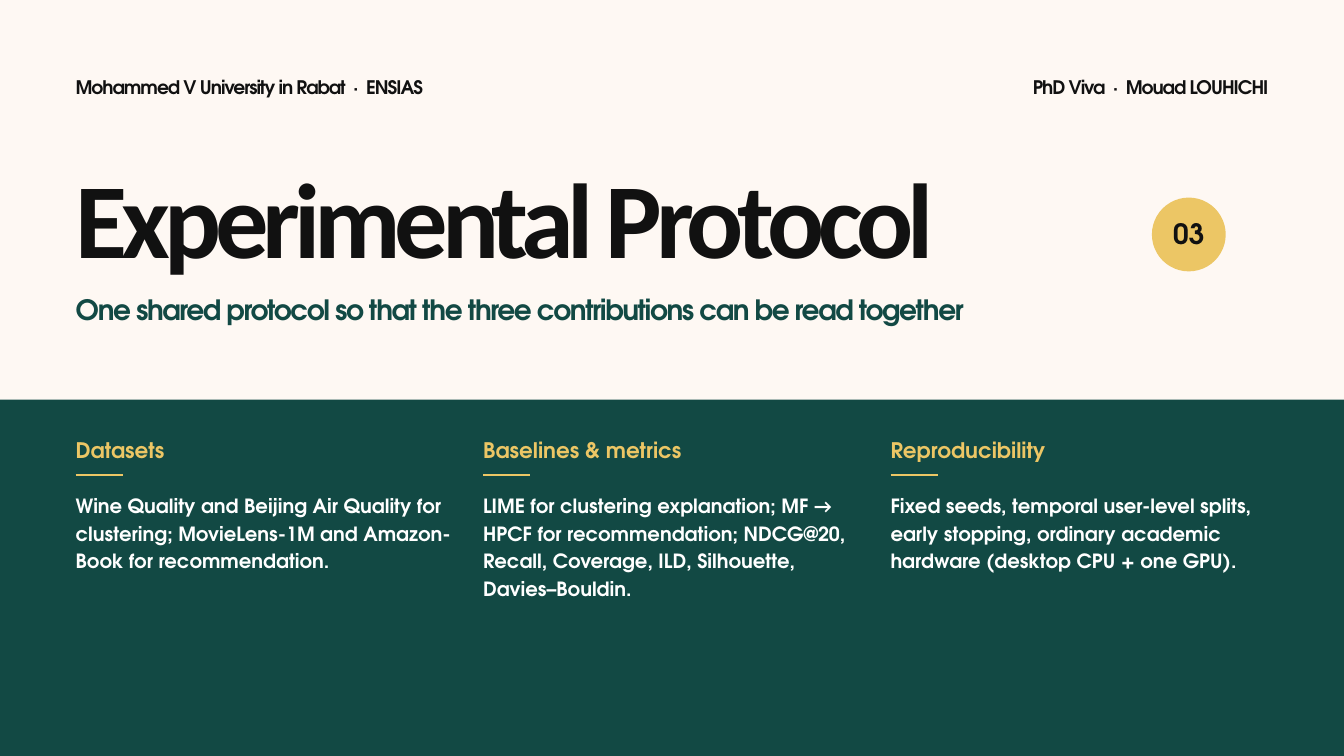
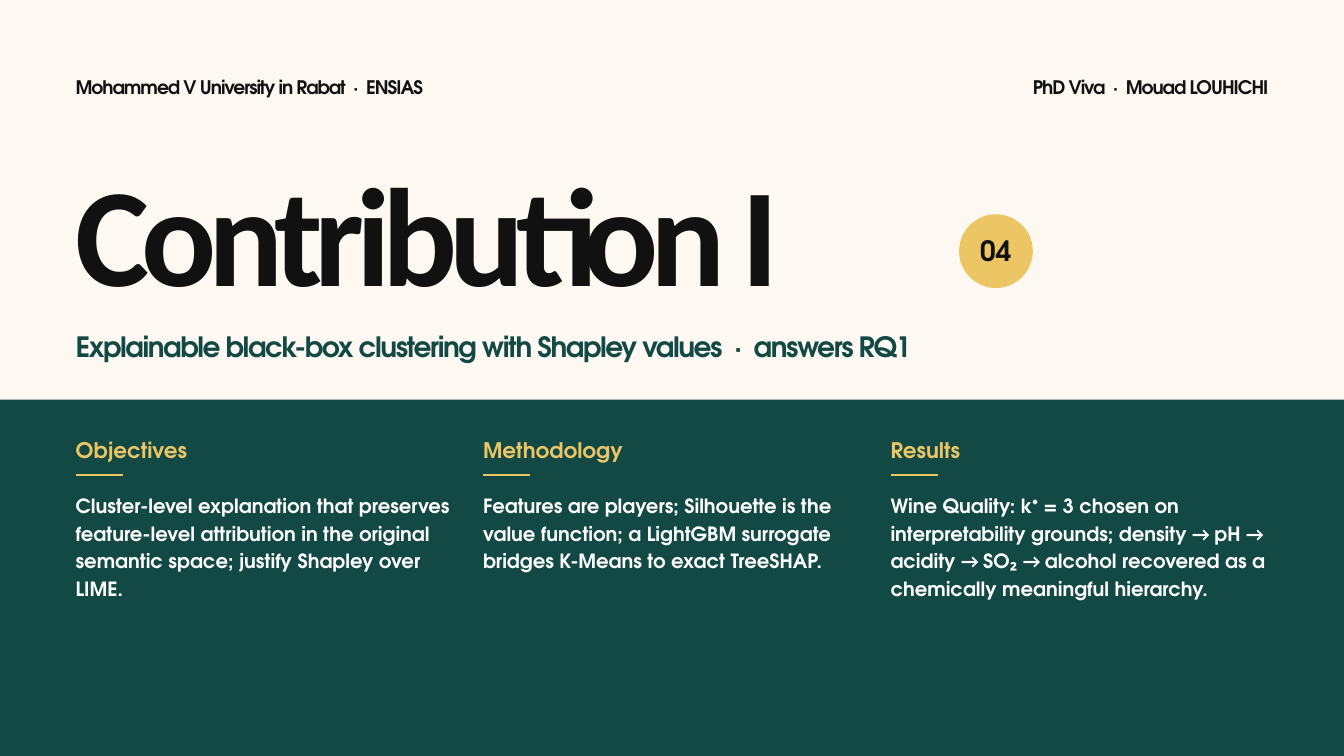
from pptx import Presentation
from pptx import util as u
from pptx.dml.color import RGBColor
from pptx.enum import shapes, text
from pptx.oxml.ns import qn
from lxml import etree

CREAM = RGBColor(0xFE, 0xF8, 0xF3)
INK = RGBColor(0x11, 0x11, 0x11)
GOLD = RGBColor(0xEC, 0xC6, 0x65)
GREEN = RGBColor(0x12, 0x49, 0x44)
WHITE = RGBColor(0xFF, 0xFF, 0xFF)

BODY_FONT = "TeX Gyre Adventor"
TITLE_FONT = "Calibri"
ARROW = "→ "
STAR = "*"

SLIDE_WIDTH = 50.8
SLIDE_HEIGHT = 28.58
MARGIN = 2.86
CONTENT_WIDTH = SLIDE_WIDTH - 2 * MARGIN
BAND_TOP = 15.11
COLUMN_GAP = 1.12
COLUMN_WIDTH = (CONTENT_WIDTH - 2 * COLUMN_GAP) / 3
HEADER_WIDTH = 20.32
BADGE_SIZE = 2.79
RULE_TOP = 17.96
RULE_LENGTH = 1.78


def write_runs(paragraph, pieces, size, colour, font=BODY_FONT, spacing=0):
    for piece in pieces:
        run = paragraph.add_run()
        run.text = piece
        run.font.name = TITLE_FONT if piece == ARROW else font
        run.font.size = u.Pt(size)
        run.font.bold = True
        run.font.color.rgb = colour
        properties = run.font._element
        if spacing:
            properties.set("spc", str(round(spacing * 100)))
        if piece == STAR:
            properties.set("baseline", "30000")


def prepare_frame(shape, line_height, align):
    frame = shape.text_frame
    frame.word_wrap = True
    frame.margin_left = frame.margin_right = 0
    frame.margin_top = frame.margin_bottom = 0
    paragraph = frame.paragraphs[0]
    paragraph.alignment = align
    paragraph.line_spacing = u.Pt(line_height)
    return paragraph


def add_text(slide, left, top, width, height, pieces, size, colour, line_height,
             font=BODY_FONT, spacing=0, align=text.PP_ALIGN.LEFT):
    box = slide.shapes.add_textbox(u.Cm(left), u.Cm(top), u.Cm(width), u.Cm(height))
    paragraph = prepare_frame(box, line_height, align)
    write_runs(paragraph, pieces, size, colour, font, spacing)


def add_filled_shape(slide, kind, left, top, width, height, colour):
    shape = slide.shapes.add_shape(kind, u.Cm(left), u.Cm(top), u.Cm(width), u.Cm(height))
    shape.shadow.inherit = False
    shape.fill.solid()
    shape.fill.fore_color.rgb = colour
    shape.line.fill.background()
    return shape


def add_header(slide):
    right = SLIDE_WIDTH - MARGIN - HEADER_WIDTH
    for left, label, align in (
        (MARGIN, "Mohammed V University in Rabat  ·  ENSIAS", text.PP_ALIGN.LEFT),
        (right, "PhD Viva  ·  Mouad LOUHICHI", text.PP_ALIGN.RIGHT),
    ):
        add_text(slide, left, 2.74, HEADER_WIDTH, 1.02, [label], 20, INK, 28,
                 spacing=-1.1, align=align)


def add_title(slide, title, size, height):
    add_text(slide, MARGIN, 6.48, 41.28, height, [title], size, INK, round(size * 1.02, 1),
             font=TITLE_FONT, spacing=round(-size * 0.058, 1))


def add_badge(slide, number, left, top):
    badge = add_filled_shape(slide, shapes.MSO_SHAPE.OVAL, left, top,
                             BADGE_SIZE, BADGE_SIZE, GOLD)
    badge.text_frame.vertical_anchor = text.MSO_ANCHOR.MIDDLE
    paragraph = prepare_frame(badge, 34, text.PP_ALIGN.CENTER)
    write_runs(paragraph, [number], 30, INK)


def add_subtitle(slide, subtitle, top):
    add_text(slide, MARGIN, top, CONTENT_WIDTH, 1.78, [subtitle], 30, GREEN, 38, spacing=-1.5)


def add_rule(slide, left):
    rule = slide.shapes.add_connector(
        shapes.MSO_CONNECTOR.STRAIGHT,
        u.Cm(left), u.Cm(RULE_TOP), u.Cm(left + RULE_LENGTH), u.Cm(RULE_TOP))
    rule.line.color.rgb = GOLD
    rule.line.width = u.Pt(2.5)
    etree.SubElement(rule._element.spPr, qn("a:effectLst"))


def add_columns(slide, columns):
    for index, (heading, pieces) in enumerate(columns):
        left = MARGIN + index * (COLUMN_WIDTH + COLUMN_GAP)
        add_text(slide, left, 16.51, COLUMN_WIDTH, 1.27, [heading], 23, GOLD, 28)
        add_rule(slide, left)
        add_text(slide, left, 18.54, COLUMN_WIDTH, 8.64, pieces, 21, WHITE, 29.4)


def add_section_slide(presentation, title, title_size, title_height, number, badge_at,
                      subtitle, subtitle_top, columns):
    slide = presentation.slides.add_slide(presentation.slide_layouts[6])
    slide.background.fill.solid()
    slide.background.fill.fore_color.rgb = CREAM
    add_header(slide)
    add_title(slide, title, title_size, title_height)
    add_badge(slide, number, *badge_at)
    add_subtitle(slide, subtitle, subtitle_top)
    add_filled_shape(slide, shapes.MSO_SHAPE.RECTANGLE, 0, BAND_TOP,
                     SLIDE_WIDTH, SLIDE_HEIGHT - BAND_TOP, GREEN)
    add_columns(slide, columns)


def main():
    presentation = Presentation()
    presentation.slide_width = u.Cm(SLIDE_WIDTH)
    presentation.slide_height = u.Cm(SLIDE_HEIGHT)

    add_section_slide(
        presentation, "Experimental Protocol", 114, 4.83, "03", (43.54, 7.47),
        "One shared protocol so that the three contributions can be read together", 10.97,
        [
            ("Datasets", [
                "Wine Quality and Beijing Air Quality for clustering; "
                "MovieLens-1M and Amazon-Book for recommendation."]),
            ("Baselines & metrics", [
                "LIME for clustering explanation; MF ", ARROW,
                "HPCF for recommendation; NDCG@20, Recall, Coverage, ILD, "
                "Silhouette, Davies–Bouldin."]),
            ("Reproducibility", [
                "Fixed seeds, temporal user-level splits, early stopping, "
                "ordinary academic hardware (desktop CPU + one GPU)."]),
        ])

    add_section_slide(
        presentation, "Contribution I", 150, 6.35, "04", (36.25, 8.1),
        "Explainable black-box clustering with Shapley values  ·  answers RQ1", 12.4,
        [
            ("Objectives", [
                "Cluster-level explanation that preserves feature-level attribution "
                "in the original semantic space; justify Shapley over LIME."]),
            ("Methodology", [
                "Features are players; Silhouette is the value function; "
                "a LightGBM surrogate bridges K-Means to exact TreeSHAP."]),
            ("Results", [
                "Wine Quality: k", STAR,
                " = 3 chosen on interpretability grounds; density ", ARROW,
                "pH ", ARROW, "acidity ", ARROW, "SO₂ ", ARROW,
                "alcohol recovered as a chemically meaningful hierarchy."]),
        ])

    presentation.save("out.pptx")


if __name__ == "__main__":
    main()
